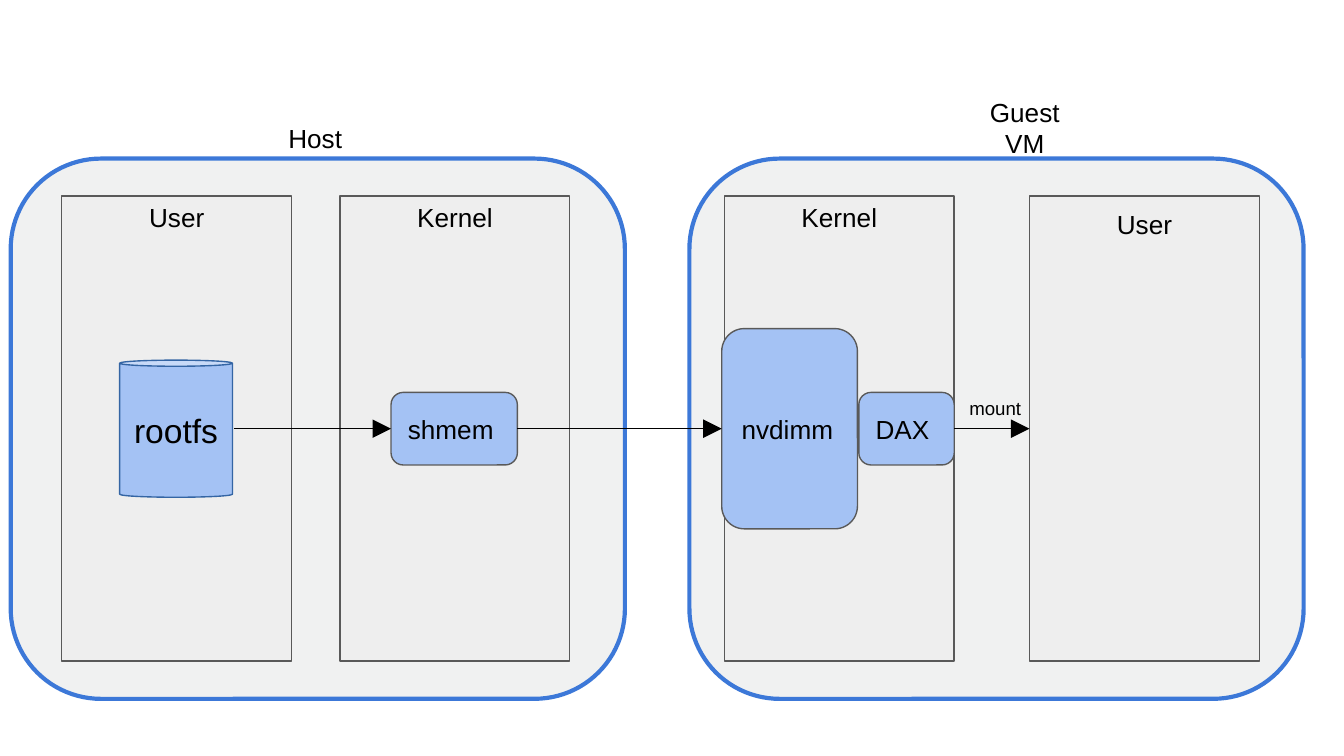
from dataclasses import dataclass

from pptx import Presentation
from pptx.dml.color import RGBColor
from pptx.enum.shapes import MSO_CONNECTOR as Link, MSO_SHAPE as Kind
from pptx.enum.text import MSO_ANCHOR as Anchor, PP_ALIGN as Align
from pptx.oxml.ns import qn
from pptx.util import Inches, Pt

BLACK, GRAY, BLUE = "000000", "595959", "A4C2F4"
TOP, PANE_W, PANE_H = 1.46, 1.71, 3.46
MID = TOP + PANE_H / 2  # height of the data path


@dataclass
class Box:
    left: float
    top: float
    width: float
    height: float
    kind: Kind = Kind.RECTANGLE
    fill: str = "EEEEEE"
    line: str = GRAY
    weight: float = 0.75
    round: float | None = None


@dataclass
class Label:
    text: str
    left: float
    top: float
    width: float = 1.69
    height: float = 0.31
    size: int = 14


def color(value: str) -> RGBColor:
    return RGBColor.from_string(value)


def write(shape, text: str, size: int = 14, align=Align.CENTER, pad: float = 0.1) -> None:
    frame = shape.text_frame
    frame.word_wrap = True
    frame.vertical_anchor = Anchor.MIDDLE
    frame.margin_left = frame.margin_right = Inches(0.1)
    frame.margin_top = frame.margin_bottom = Inches(pad)
    frame.text = text
    for para in frame.paragraphs:
        para.alignment = align
        for run in para.runs:
            run.font.size = Pt(size)
            run.font.name = "Arial"
            run.font.color.rgb = color(BLACK)


def draw(slide, box: Box):
    area = map(Inches, (box.left, box.top, box.width, box.height))
    shape = slide.shapes.add_shape(box.kind, *area)
    shape.shadow.inherit = False
    shape.fill.solid()
    shape.fill.fore_color.rgb = color(box.fill)
    shape.line.color.rgb = color(box.line)
    shape.line.width = Pt(box.weight)
    if box.round is not None:
        shape.adjustments[0] = box.round
    return shape


def node(slide, text: str, left: float, width: float, height: float):
    shape = draw(slide, Box(left, MID - height / 2, width, height,
                            Kind.ROUNDED_RECTANGLE, BLUE, round=0.167))
    write(shape, text, align=Align.LEFT)
    return shape


def arrow(slide, start: float, end: float, source=None, target=None) -> None:
    link = slide.shapes.add_connector(
        Link.STRAIGHT, Inches(start), Inches(MID), Inches(end), Inches(MID))
    if source is not None:
        link.begin_connect(source, 3)
    if target is not None:
        link.end_connect(target, 1)
    link.line.color.rgb = color(BLACK)
    link.line.width = Pt(0.75)
    props = link._element.spPr
    stroke = props.find(qn("a:ln"))
    stroke.append(stroke.makeelement(
        qn("a:tailEnd"), {"type": "triangle", "w": "lg", "len": "lg"}))
    props.append(props.makeelement(qn("a:effectLst"), {}))


def label(slide, item: Label) -> None:
    area = map(Inches, (item.left, item.top, item.width, item.height))
    write(slide.shapes.add_textbox(*area), item.text, size=item.size)


def main() -> None:
    # Widescreen page, 16 to 9
    deck = Presentation()
    deck.slide_width = Inches(10)
    deck.slide_height = Inches(10 * 9 / 16)
    slide = deck.slides.add_slide(deck.slide_layouts[6])

    # Host and guest machines
    for left in (0.08, 5.13):
        draw(slide, Box(left, 1.18, 4.57, 4.02, Kind.ROUNDED_RECTANGLE,
                        "F0F1F1", "3C78D8", 2.25, 0.167))

    # User and kernel panes
    panes = [draw(slide, Box(left, TOP, PANE_W, PANE_H))
             for left in (0.46, 2.53, 5.39, 7.66)]

    # Stages of the data path
    shmem = node(slide, "shmem", 2.91, 0.94, 0.54)
    nvdimm = node(slide, "nvdimm", 5.37, 1.01, 1.49)
    dax = node(slide, "DAX", 6.39, 0.71, 0.54)
    rootfs = draw(slide, Box(0.89, 2.68, 0.84, 1.02, Kind.CAN,
                             BLUE, "3465A4", round=0.054))
    write(rootfs, "rootfs", size=18, pad=0.05)

    # Arrows between the stages
    arrow(slide, 1.74, 2.91, target=shmem)
    arrow(slide, 3.86, 5.37, shmem, nvdimm)
    arrow(slide, 7.1, 7.66, dax, panes[-1])

    # Captions
    for item in (
        Label("Host", 1.5, 0.87),
        Label("Guest\nVM", 6.78, 0.72, height=0.46),
        Label("User", 0.47, TOP),
        Label("Kernel", 2.54, TOP),
        Label("Kernel", 5.4, TOP),
        Label("User", 7.67, 1.51),
        Label("mount", 7.1, 2.88, width=0.61, size=10),
    ):
        label(slide, item)

    deck.save("out.pptx")


if __name__ == "__main__":
    main()
